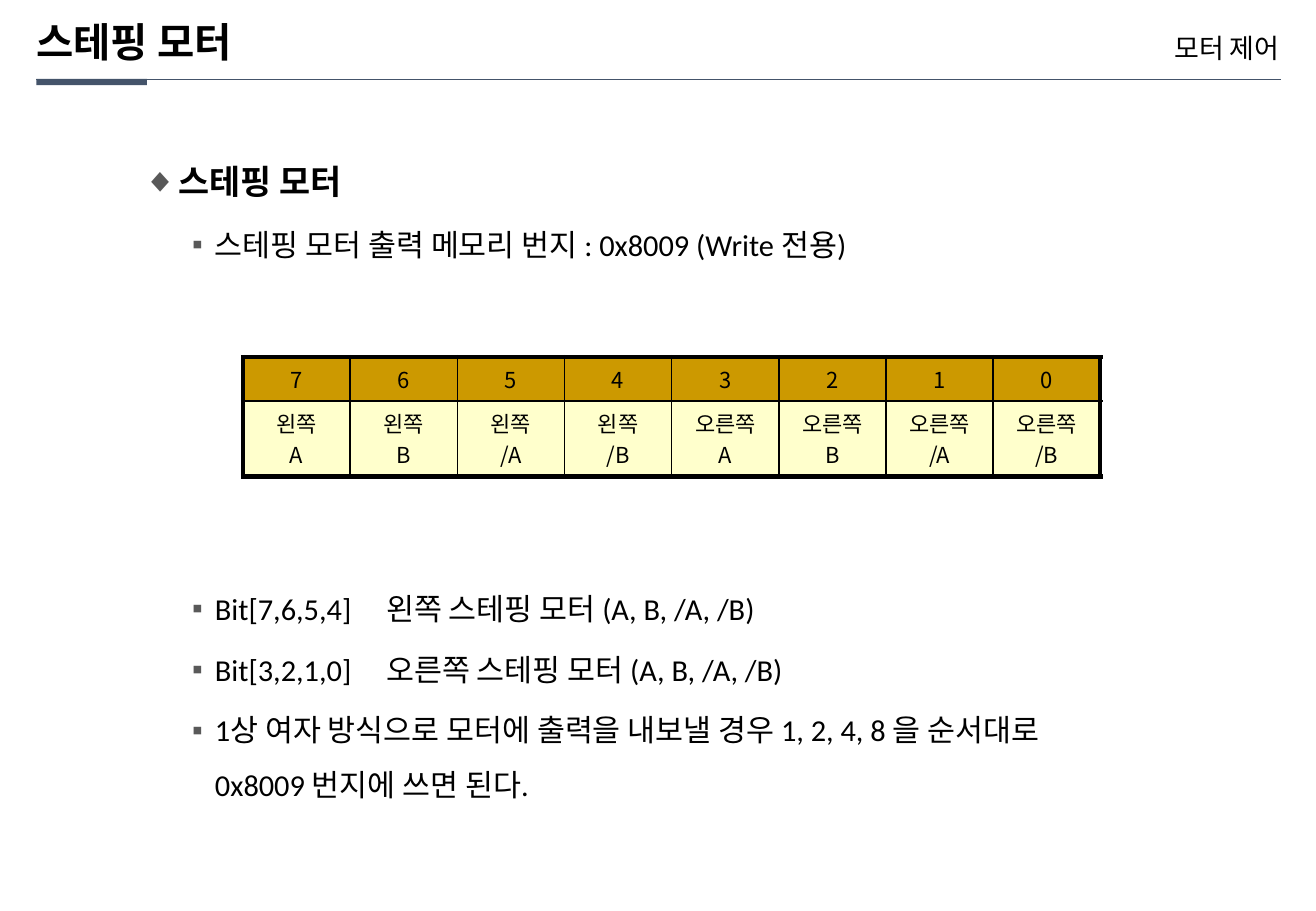
from pptx import Presentation
from pptx import util as u
from pptx.dml.color import RGBColor
from pptx.enum import shapes, text
from pptx.oxml import parse_xml
from pptx.oxml.ns import nsdecls

Cm, Pt = u.Cm, u.Pt
INK = {"black": "000000", "navy": "44546A", "gray": "595959",
       "gold": "CC9900", "cream": "FFFFCC"}
NOTO = "Noto Sans CJK KR"
LEFT, RIGHT, MID = text.PP_ALIGN.LEFT, text.PP_ALIGN.RIGHT, text.PP_ALIGN.CENTER

LIST = [
    # level, text, space before
    (0, "스테핑 모터", 0),
    (1, "스테핑 모터 출력 메모리 번지 : 0x8009 (Write 전용)", 3.6),
    (1, "Bit[7,6,5,4]\t왼쪽 스테핑 모터 (A, B, /A, /B)", 183.5),
    (1, "Bit[3,2,1,0]\t오른쪽 스테핑 모터 (A, B, /A, /B)", 3.6),
    (1, "1상 여자 방식으로 모터에 출력을 내보낼 경우 1, 2, 4, 8 을 순서대로 "
        "0x8009 번지에 쓰면 된다.", 3.6),
]
# bullet, left margin, hanging indent, size, bold
LEVELS = [("◆", 0.74, 0.74, 20, True), ("▪", 1.5, 0.48, 18, False)]
SIDES = ["왼쪽", "오른쪽"]
PHASES = ["A", "B", "/A", "/B"]


def rgb(name):
    return RGBColor.from_string(INK[name])


def xml(tag, attrs="", inner=""):
    return parse_xml(f'<a:{tag} {nsdecls("a")} {attrs}>{inner}</a:{tag}>')


def color(name):
    return f'<a:srgbClr val="{INK[name]}"/>'


def write(para, words, size=18, font=NOTO, bold=False, align=LEFT,
          line=1.0, before=0):
    """Add formatted words to a paragraph."""
    para.alignment, para.line_spacing = align, line
    para.space_before, para.space_after = Pt(before), Pt(0)
    run = para.add_run()
    run.text = words
    run.font.size, run.font.bold, run.font.name = Pt(size), bold, font
    run.font.color.rgb = rgb("black")
    run.font.fill._xPr.find("{*}latin").addnext(xml("ea", f'typeface="{NOTO}"'))


def place(shape, left, top, width, height, inset=None):
    """Move a text shape and return its frame."""
    shape.left, shape.top = Cm(left), Cm(top)
    shape.width, shape.height = Cm(width), Cm(height)
    frame = shape.text_frame
    frame.word_wrap, frame.auto_size = True, text.MSO_AUTO_SIZE.NONE
    frame.vertical_anchor = text.MSO_ANCHOR.TOP
    if inset is not None:
        frame.margin_left = frame.margin_right = Cm(inset)
        frame.margin_top = frame.margin_bottom = Cm(inset)
    return frame


def bullet(para, mark, left, hang):
    props = para._p.get_or_add_pPr()
    props.set("marL", str(Cm(left)))
    props.set("indent", str(-Cm(hang)))
    props.append(xml("buClr", inner=color("gray")))
    props.append(xml("buFont", 'typeface="Arial"'))
    props.append(xml("buChar", f'char="{mark}"'))


def head(slide):
    # Title, chapter name and rule
    frame = place(slide.shapes.title, 0.76, 0.46, 15.57, 0.91, 0)
    write(frame.paragraphs[0], "스테핑 모터", size=24, font="Arial",
          bold=True, line=0.9)
    box = slide.shapes.add_textbox(0, 0, 0, 0)
    frame = place(box, 17.58, 0.74, 9.17, 0.61, 0)
    write(frame.paragraphs[0], "모터 제어", size=16, align=RIGHT, line=0.9)

    rule = slide.shapes.add_connector(shapes.MSO_CONNECTOR.STRAIGHT,
                                      Cm(0.76), Cm(1.65), Cm(26.77), Cm(1.65))
    rule.line.color.rgb, rule.line.width = rgb("navy"), Pt(0.25)
    rule._element.spPr.append(xml("effectLst"))
    bar = slide.shapes.add_shape(shapes.MSO_SHAPE.RECTANGLE,
                                 Cm(0.76), Cm(1.65), Cm(2.31), Cm(0.13))
    bar.shadow.inherit = False
    bar.fill.solid()
    bar.fill.fore_color.rgb = rgb("navy")
    bar.line.fill.background()


def body(slide):
    # Bulleted list, with a gap for the table
    frame = place(slide.placeholders[1], 2.74, 2.82, 21.26, 12.14)
    for i, (level, words, before) in enumerate(LIST):
        para = frame.add_paragraph() if i else frame.paragraphs[0]
        mark, left, hang, size, bold = LEVELS[level]
        para.level = level
        bullet(para, mark, left, hang)
        write(para, words, size=size, font="Calibri", bold=bold,
              line=1.5, before=before)


def cell(item, lines, fill, thick):
    """Fill one cell; thick holds the sides on the table's edge."""
    item.vertical_anchor = text.MSO_ANCHOR.MIDDLE
    props = item._tc.get_or_add_tcPr()
    for side in "LRTB":
        width = Pt(3 if side in thick else 1)
        props.append(xml(f"ln{side}", f'w="{width}"',
                         f'<a:solidFill>{color("black")}</a:solidFill>'))
    item.fill.solid()
    item.fill.fore_color.rgb = rgb(fill)
    frame = item.text_frame
    for i, words in enumerate(lines):
        para = frame.add_paragraph() if i else frame.paragraphs[0]
        write(para, words, size=13, align=MID)


def bits(slide):
    # Table of output bits, high to low
    pairs = [(side, phase) for side in SIDES for phase in PHASES]
    last = len(pairs) - 1
    grid = slide.shapes.add_table(2, len(pairs), Cm(5.08), Cm(7.47),
                                  Cm(17.92), Cm(2.17)).table
    grid.first_row = grid.horz_banding = False
    grid.rows[0].height, grid.rows[1].height = Cm(0.8), Cm(1.37)
    for col, pair in enumerate(pairs):
        grid.columns[col].width = Cm(2.24)
        edge = {0: "L", last: "R"}.get(col, "")
        cell(grid.cell(0, col), [str(last - col)], "gold", edge + "T")
        cell(grid.cell(1, col), pair, "cream", edge + "B")


def main():
    deck = Presentation()
    deck.slide_width, deck.slide_height = Cm(27.51), Cm(19.05)
    slide = deck.slides.add_slide(deck.slide_layouts[1])
    head(slide)
    body(slide)
    bits(slide)
    deck.save("out.pptx")


if __name__ == "__main__":
    main()
